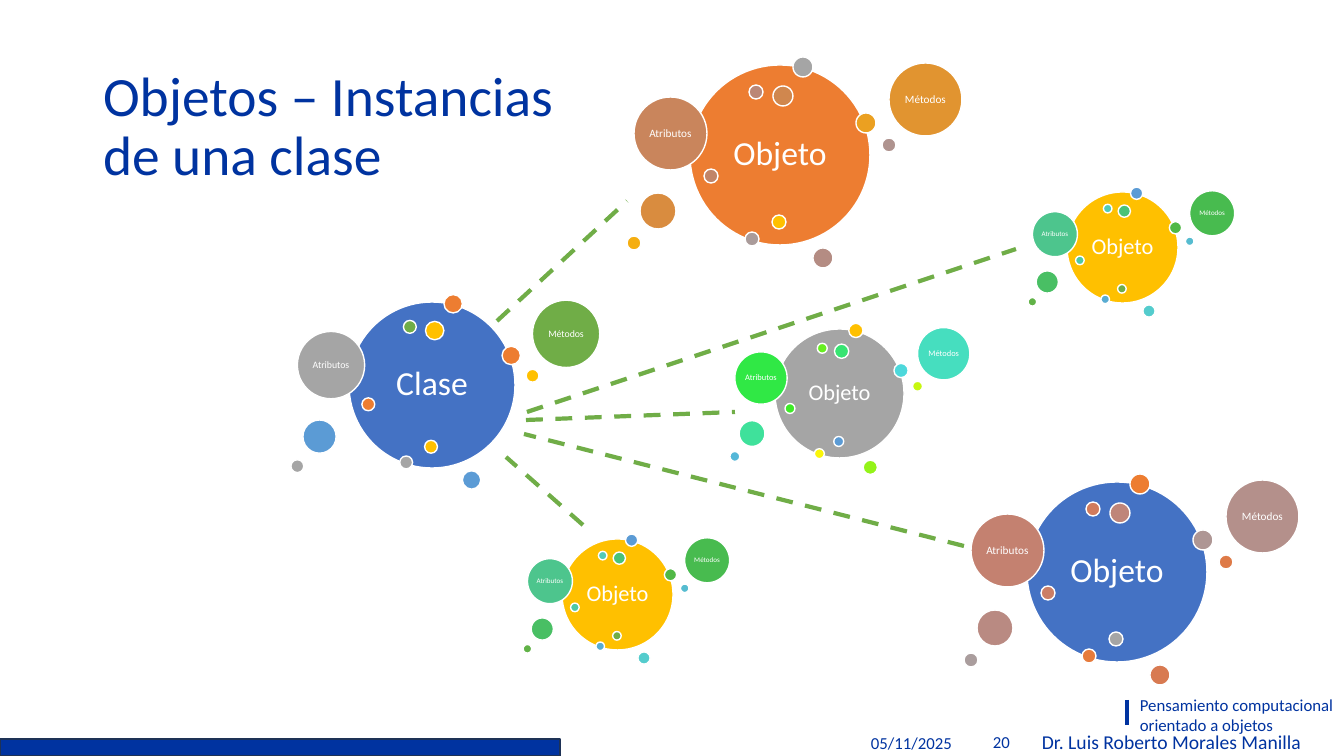
"""Slide showing a class and the objects instantiated from it."""
import colorsys
from itertools import cycle, islice

from lxml import etree
from pptx import Presentation
from pptx import util as u
from pptx.dml.color import RGBColor
from pptx.enum import dml, shapes, text
from pptx.oxml.ns import qn

PX = 914400 / 100.8
COLORS = {
    "navy": "0033A0", "bar_edge": "1E3256", "white": "FFFFFF",
    "blue": "4472C4", "orange": "ED7D31", "gray": "A5A5A5",
    "amber": "FFC000", "sky": "5B9BD5", "green": "70AD47",
}
RGB = {name: RGBColor.from_string(value) for name, value in COLORS.items()}


def px(*lengths):
    return [u.Emu(round(length * PX)) for length in lengths]


def write(shape, words, size, color="navy", align=text.PP_ALIGN.LEFT,
          anchor=text.MSO_ANCHOR.MIDDLE, spacing=1.0, wrap=True):
    frame = shape.text_frame
    frame.text = words
    frame.word_wrap = wrap
    frame.auto_size = text.MSO_AUTO_SIZE.NONE
    frame.vertical_anchor = anchor
    paragraph = frame.paragraphs[0]
    paragraph.alignment = align
    paragraph.line_spacing = spacing
    paragraph.font.name = "Calibri"
    paragraph.font.size = u.Pt(size)
    paragraph.font.color.rgb = RGB[color]


prs = Presentation()
prs.slide_width, prs.slide_height = px(1344, 756)
slide = prs.slides.add_slide(prs.slide_layouts[5])

title = slide.shapes.title
title.left, title.top, title.width, title.height = px(93, 55, 490, 146)
write(title, "Objetos – Instancias de una clase", 39.6, spacing=0.9)

# left, top and diameter of each satellite around a core 180 px wide
CORE = 180
ATTRIBUTES, METHODS = 6, 9
satellites = [
    (103, -8, 20), (55, 167, 14), (192, 73, 14), (123, 183, 20), (59, 20, 14),
    (14, 104, 14), (-56, 32, 73), (83, 21, 20), (-50, 128, 36), (199, -2, 73),
    (166, 48, 20), (-63, 171, 14), (82, 150, 14),
]
labels = {ATTRIBUTES: "Atributos", METHODS: "Métodos"}
accents = ["orange", "gray", "amber", "sky", "green"]
clusters = [
    ("Objeto", 775, 329, 129, 16, 6, "gray", ("amber", "sky")),
    ("Objeto", 690, 65, 180, 24, 8, "orange", ("gray", "amber")),
    ("Objeto", 1027, 482, 180, 24, 8, "blue", ("orange", "gray")),
    ("Clase", 349, 302, 166, 24, 7, "blue", None),
    ("Objeto", 562, 539, 111, 16, 5, "amber", ("sky", "green")),
    ("Objeto", 1067, 192, 111, 16, 5, "amber", ("sky", "green")),
]

for name, left, top, diameter, name_size, label_size, core_color, blend in clusters:
    if blend:
        start, end = [colorsys.rgb_to_hls(*(channel / 255 for channel in RGB[key]))
                      for key in blend]
        last = len(satellites) - 1
        fills = []
        for step in range(len(satellites)):
            hls = [a + (b - a) * step / last for a, b in zip(start, end)]
            fills.append(RGBColor(*(round(c * 255) for c in colorsys.hls_to_rgb(*hls))))
    else:
        fills = [RGB[key] for key in islice(cycle(accents), len(satellites))]

    scale = diameter / CORE
    circles = [(0, 0, CORE, RGB[core_color], name, name_size)]
    for index, (satellite, fill) in enumerate(zip(satellites, fills)):
        circles.append((*satellite, fill, labels.get(index), label_size))
    for dx, dy, width, fill, words, size in circles:
        circle = slide.shapes.add_shape(
            shapes.MSO_SHAPE.OVAL,
            *px(left + round(dx * scale, 1), top + round(dy * scale, 1),
                round(width * scale, 1), round(width * scale, 1)))
        circle.shadow.inherit = False
        circle.fill.solid()
        circle.fill.fore_color.rgb = fill
        circle.line.color.rgb = RGB["white"]
        circle.line.width = u.Pt(1)
        if words:
            write(circle, words, size, "white", text.PP_ALIGN.CENTER,
                  spacing=0.9, wrap=False)

dash = dml.MSO_LINE.DASH
lines = [
    (497, 321, 627, 201, "green", 3, dash),
    (583, 525, 506, 457, "green", 3, dash),
    (526, 420, 735, 412, "green", 3, dash),
    (527, 412, 1016, 249, "green", 3, dash),
    (964, 546, 524, 434, "green", 3, dash),
    (1127, 700, 1127, 725, "navy", 2.25, None),
]
for x1, y1, x2, y2, color, weight, style in lines:
    link = slide.shapes.add_connector(shapes.MSO_CONNECTOR.STRAIGHT, *px(x1, y1, x2, y2))
    link.line.color.rgb = RGB[color]
    link.line.width = u.Pt(weight)
    if style:
        link.line.dash_style = style
    etree.SubElement(link._element.spPr, qn("a:effectLst"))

top_anchor, middle = text.MSO_ANCHOR.TOP, text.MSO_ANCHOR.MIDDLE
footers = [
    ("Pensamiento computacional orientado a objetos", 1130, 690, 215, 50, 12,
     text.PP_ALIGN.LEFT, top_anchor),
    ("Dr. Luis Roberto Morales Manilla", 1032, 725, 301, 22, 14,
     text.PP_ALIGN.LEFT, top_anchor),
    ("05/11/2025", 861, 723, 125, 40, 12, text.PP_ALIGN.LEFT, middle),
    ("20", 965, 722, 55, 40, 12, text.PP_ALIGN.RIGHT, middle),
]
for words, left, top, width, height, size, align, anchor in footers:
    footer = slide.shapes.add_textbox(*px(left, top, width, height))
    write(footer, words, size, align=align, anchor=anchor)

bar = slide.shapes.add_shape(shapes.MSO_SHAPE.RECTANGLE, *px(0, 739, 560, 17))
bar.shadow.inherit = False
bar.fill.solid()
bar.fill.fore_color.rgb = RGB["navy"]
bar.line.color.rgb = RGB["bar_edge"]
bar.line.width = u.Pt(1)

prs.save("out.pptx")
